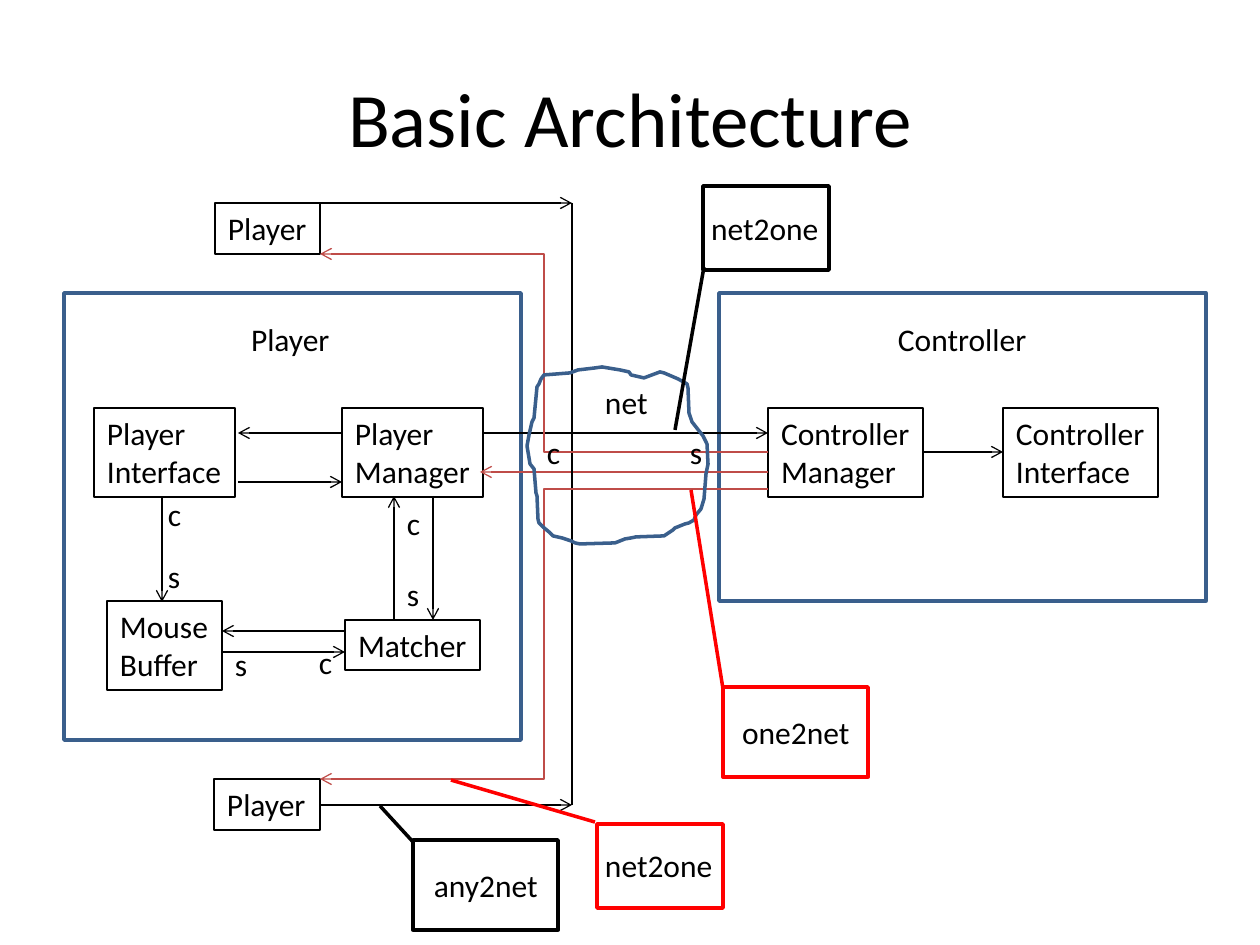
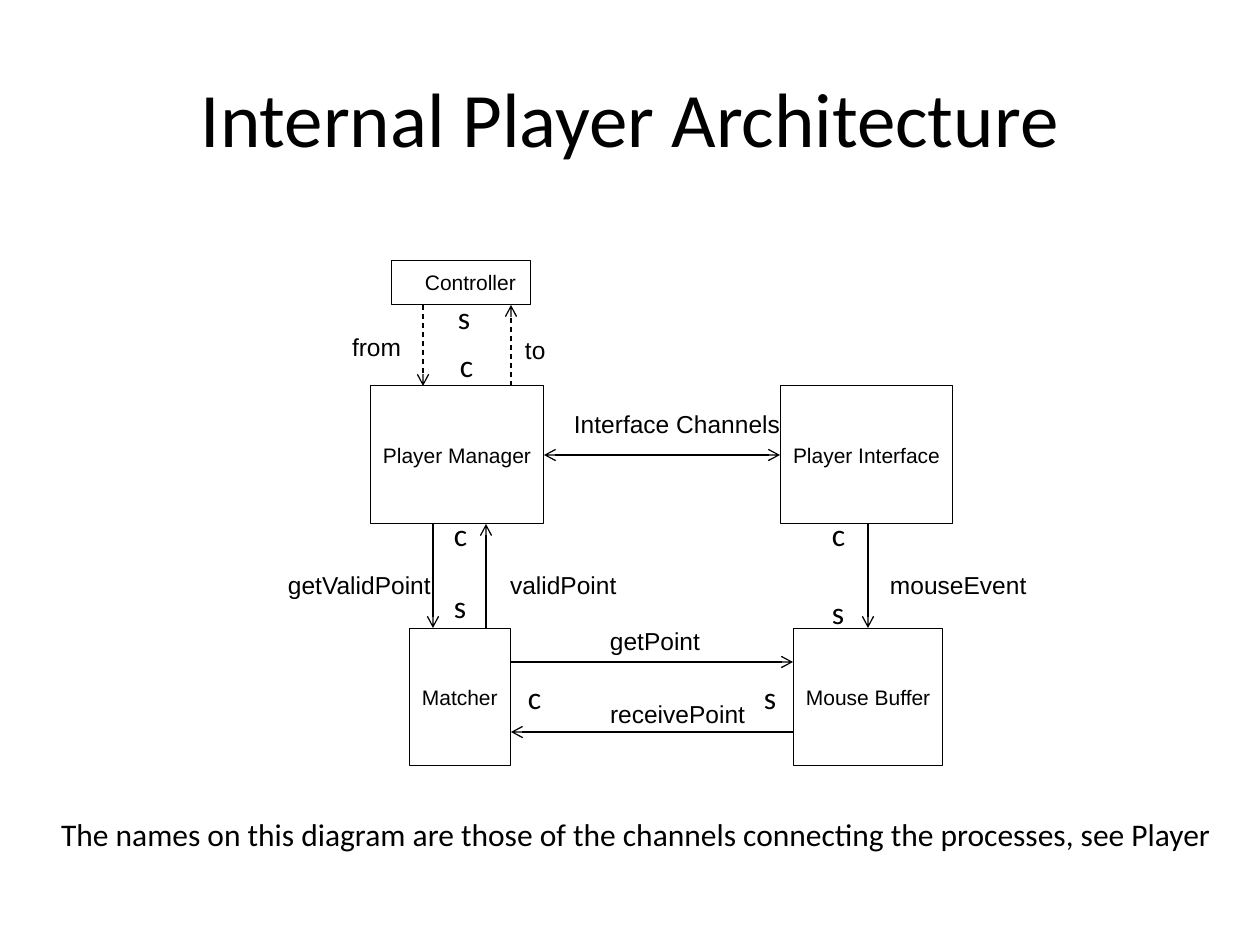
from dataclasses import dataclass
from typing import NamedTuple, Optional

from lxml.etree import SubElement
from pptx import Presentation
from pptx.dml.color import RGBColor
from pptx.enum.dml import MSO_LINE
from pptx.enum.shapes import MSO_CONNECTOR as Route, MSO_SHAPE as Preset
from pptx.enum.text import MSO_ANCHOR as Anchor, PP_ALIGN as Align
from pptx.oxml.ns import qn
from pptx.util import Emu, Pt

EMU_PER_PX = 914400 / 126
COLORS = {
    "ink": "000000",
    "paper": "FFFFFF",
    "frame": "3A5F8C",
    "reply": "BF4C48",
    "alert": "FF0000",
}


# Descriptions of the repeated elements
class TextStyle(NamedTuple):
    font: str
    size: int
    align: Align = Align.LEFT
    anchor: Anchor = Anchor.TOP
    spacing: float = 1.0


TITLE = TextStyle("Calibri", 44, Align.CENTER, Anchor.MIDDLE)
BODY = TextStyle("Calibri", 18)
CALLOUT = TextStyle("Calibri", 18, Align.CENTER, Anchor.MIDDLE)
PROCESS = TextStyle("Arial", 12, anchor=Anchor.MIDDLE)
CHANNEL = TextStyle("Arial", 14, spacing=1.15)


@dataclass
class Box:
    left: int
    top: int
    width: int
    height: int
    text: str = ""
    style: TextStyle = BODY
    line: Optional[str] = "ink"
    weight: float = 0.75
    fill: Optional[str] = None
    indent: int = 13


@dataclass
class Label:
    left: int
    top: int
    text: str
    width: int = 39
    height: int = 50
    style: TextStyle = BODY


@dataclass
class Arrow:
    start: tuple[int, int]
    end: tuple[int, int]
    color: str = "ink"
    head: bool = False
    tail: bool = True
    dashed: bool = False
    route: Route = Route.STRAIGHT


@dataclass
class Callout:
    box: Box
    root: tuple[int, int]
    tip: tuple[int, int]


# Drawing functions
def px(length: float) -> Emu:
    return Emu(round(length * EMU_PER_PX))


def rgb(name: str) -> RGBColor:
    return RGBColor.from_string(COLORS[name])


def write(shape, text: str, style: TextStyle, indent: int = 13) -> None:
    frame = shape.text_frame
    frame.text = text
    frame.word_wrap = False
    frame.vertical_anchor = style.anchor
    frame.margin_left = px(indent)
    for paragraph in frame.paragraphs:
        paragraph.alignment = style.align
        paragraph.line_spacing = style.spacing
        for run in paragraph.runs:
            run.font.name = style.font
            run.font.size = Pt(style.size)
            run.font.color.rgb = rgb("ink")


def paint(shape, line: Optional[str], weight: float, fill: Optional[str]) -> None:
    shape.shadow.inherit = False
    if fill:
        shape.fill.solid()
        shape.fill.fore_color.rgb = rgb(fill)
    else:
        shape.fill.background()
    if line:
        shape.line.color.rgb = rgb(line)
        shape.line.width = Pt(weight)
    else:
        shape.line.fill.background()


def draw_box(slide, box: Box, preset: Preset = Preset.RECTANGLE):
    shape = slide.shapes.add_shape(
        preset, px(box.left), px(box.top), px(box.width), px(box.height))
    paint(shape, box.line, box.weight, box.fill)
    if box.text:
        write(shape, box.text, box.style, box.indent)
    return shape


def draw_label(slide, label: Label) -> None:
    area = slide.shapes.add_textbox(
        px(label.left), px(label.top), px(label.width), px(label.height))
    write(area, label.text, label.style)


def draw_arrow(slide, arrow: Arrow) -> None:
    connector = slide.shapes.add_connector(
        arrow.route, *map(px, arrow.start + arrow.end))
    connector.line.color.rgb = rgb(arrow.color)
    connector.line.width = Pt(0.75)
    if arrow.dashed:
        connector.line.dash_style = MSO_LINE.DASH
    properties = connector._element.spPr
    outline = properties.find(qn("a:ln"))
    for tag, wanted in (("a:headEnd", arrow.head), ("a:tailEnd", arrow.tail)):
        if wanted:
            SubElement(outline, qn(tag), type="arrow")
    SubElement(properties, qn("a:effectLst"))


def draw_callout(slide, callout: Callout) -> None:
    box = callout.box
    shape = draw_box(slide, box, Preset.LINE_CALLOUT_1)
    ends = (callout.root, callout.tip)
    for index, (x, y) in enumerate(ends):
        shape.adjustments[2 * index] = (y - box.top) / box.height
        shape.adjustments[2 * index + 1] = (x - box.left) / box.width


def draw_outline(slide, points: list[tuple[int, int]]) -> None:
    builder = slide.shapes.build_freeform(*points[0], scale=EMU_PER_PX)
    builder.add_line_segments(points[1:], close=True)
    paint(builder.convert_to_shape(), "frame", 2, None)


def draw_all(slide, boxes: list[Box], arrows: list[Arrow], labels: list[Label]) -> None:
    for box in boxes:
        draw_box(slide, box)
    for arrow in arrows:
        draw_arrow(slide, arrow)
    for label in labels:
        draw_label(slide, label)


def titled_slide(deck, title: str):
    slide = deck.slides.add_slide(deck.slide_layouts[6])
    draw_label(slide, Label(63, 38, title, 1134, 157, TITLE))
    return slide


deck = Presentation()
deck.slide_width, deck.slide_height = px(1260), px(945)

# Slide 1: players, network and controller
basic = titled_slide(deck, "Basic Architecture")

frames = [
    Box(64, 293, 457, 447, line="frame", weight=2),
    Box(719, 293, 487, 308, line="frame", weight=2),
]
processes = [
    Box(342, 408, 141, 89, "Player\vManager"),
    Box(94, 408, 141, 89, "Player\vInterface"),
    Box(107, 601, 115, 89, "Mouse\vBuffer"),
    Box(345, 620, 135, 50, "Matcher"),
    Box(768, 408, 155, 89, "Controller\vManager"),
    Box(1003, 408, 155, 89, "Controller\vInterface"),
    Box(215, 203, 105, 51, "Player"),
    Box(214, 779, 106, 51, "Player"),
]
messages = [
    # inside the player
    Arrow((342, 433), (238, 433)),
    Arrow((238, 482), (342, 482)),
    Arrow((162, 497), (162, 602)),
    Arrow((433, 496), (433, 620)),
    Arrow((394, 621), (394, 496)),
    Arrow((345, 631), (222, 631)),
    Arrow((222, 652), (345, 652)),
    # inside the controller
    Arrow((923, 452), (1003, 452)),
    # across the network
    Arrow((483, 433), (768, 433)),
    Arrow((768, 472), (480, 472), "reply"),
    Arrow((320, 805), (572, 805)),
    Arrow((572, 203), (572, 805), tail=False),
    Arrow((320, 203), (572, 203)),
    Arrow((768, 489), (320, 779), "reply", route=Route.ELBOW),
    Arrow((768, 452), (320, 254), "reply", route=Route.ELBOW),
]
captions = [
    Label(238, 314, "Player", 105),
    Label(885, 314, "Controller", 155),
    Label(592, 377, "net", 79),
    Label(155, 489, "c"),
    Label(155, 551, "s"),
    Label(222, 639, "s"),
    Label(306, 637, "c"),
    Label(394, 498, "c"),
    Label(394, 569, "s"),
    Label(677, 427, "s"),
    Label(534, 427, "c"),
]
draw_all(basic, frames + processes, messages, captions)

# Network cloud
cloud = [
    (644, 378), (631, 375), (629, 372), (620, 370), (602, 367), (595, 368),
    (578, 370), (570, 373), (544, 375), (541, 379), (539, 384), (537, 387),
    (534, 418), (532, 422), (529, 435), (527, 446), (530, 464), (534, 469),
    (536, 493), (537, 496), (538, 519), (539, 523), (543, 527), (549, 532),
    (553, 536), (562, 538), (571, 541), (575, 543), (580, 544), (615, 543),
    (625, 539), (631, 538), (636, 537), (664, 536), (673, 530), (675, 528),
    (685, 524), (689, 523), (694, 520), (696, 515), (701, 509), (704, 499),
    (706, 474), (708, 464), (707, 444), (703, 436), (692, 422), (689, 413),
    (688, 388), (687, 384), (678, 379), (664, 373), (660, 372),
]
draw_outline(basic, cloud)

# Channel types
for channel_type in (
    Callout(Box(723, 687, 145, 90, "one2net", CALLOUT, "alert", 2, "paper"),
            (723, 689), (691, 490)),
    Callout(Box(597, 824, 126, 84, line="alert", weight=2), (595, 822), (451, 780)),
    Callout(Box(703, 186, 126, 84, line="ink", weight=2), (704, 267), (675, 430)),
    Callout(Box(413, 840, 145, 90, "any2net", CALLOUT, "ink", 2, "paper"),
            (413, 842), (380, 806)),
):
    draw_callout(basic, channel_type)
for left, top in ((592, 840), (698, 203)):
    draw_label(basic, Label(left, top, "net2one", 134))

# Slide 2: channels inside the player
internal = titled_slide(deck, "Internal Player Architecture")


def process(left: int, top: int, width: int, height: int, text: str,
            indent: int = 13) -> Box:
    return Box(left, top, width, height, text, PROCESS, "ink", 0.5, "paper", indent)


def channel(left: int, top: int, width: int, text: str) -> Box:
    return Box(left, top, width, 43, text, CHANNEL, None, fill="paper")


player_parts = [
    process(780, 386, 173, 138, "Player Interface"),
    process(370, 386, 174, 138, "Player Manager"),
    process(409, 628, 102, 138, "Matcher"),
    process(793, 628, 150, 138, "Mouse Buffer"),
    process(391, 260, 140, 45, "Controller", indent=34),
]
channel_names = [
    channel(597, 615, 103, "getPoint"),
    channel(597, 688, 120, "receivePoint"),
    channel(275, 559, 149, "getValidPoint"),
    channel(497, 559, 117, "validPoint"),
    channel(877, 559, 142, "mouseEvent"),
    channel(561, 398, 200, "Interface Channels"),
    channel(339, 321, 69, "from"),
    channel(512, 324, 54, "to"),
]
channels = [
    Arrow((868, 524), (868, 628)),
    Arrow((433, 524), (433, 628)),
    Arrow((486, 628), (486, 524)),
    Arrow((511, 662), (793, 662)),
    Arrow((793, 732), (511, 732)),
    Arrow((544, 455), (780, 455), head=True),
    Arrow((423, 305), (423, 386), dashed=True),
    Arrow((511, 386), (511, 305), dashed=True),
]
remarks = [
    Label(48, 809, "The names on this diagram are those of the channels "
          "connecting the processes, see Player", 1179),
    Label(441, 509, "c"),
    Label(441, 581, "s"),
    Label(447, 340, "c"),
    Label(445, 292, "s"),
    Label(515, 672, "c"),
    Label(751, 672, "s"),
    Label(819, 509, "c"),
    Label(819, 587, "s"),
]
draw_all(internal, player_parts + channel_names, channels, remarks)

deck.save("out.pptx")
